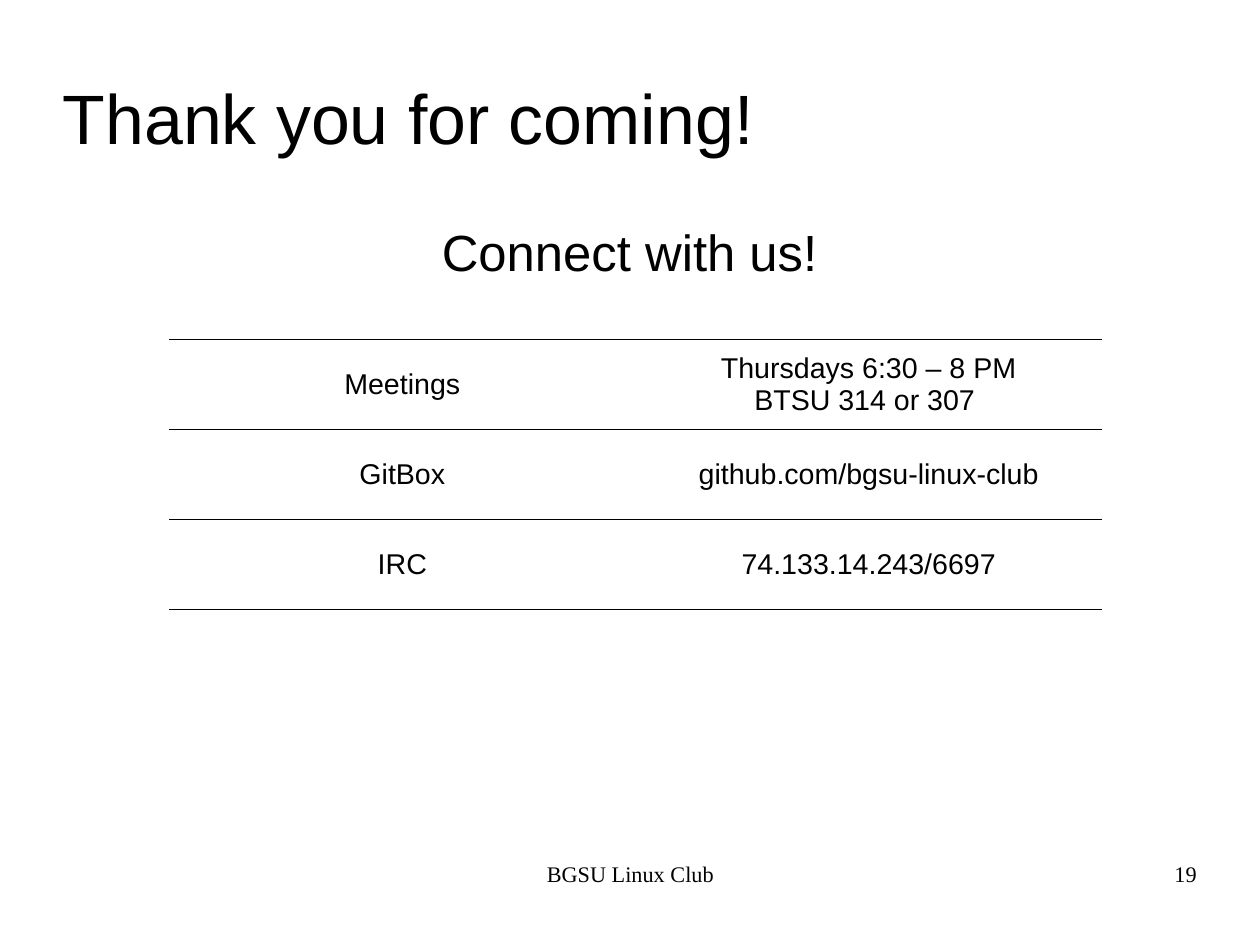
from lxml import etree
from pptx import Presentation
from pptx.dml.color import RGBColor
from pptx.enum.text import MSO_ANCHOR, PP_ALIGN
from pptx.oxml.ns import qn
from pptx.util import Inches, Pt

LEFT, CENTER, RIGHT = PP_ALIGN.LEFT, PP_ALIGN.CENTER, PP_ALIGN.RIGHT
TOP, MIDDLE = MSO_ANCHOR.TOP, MSO_ANCHOR.MIDDLE
COLORS = {"ink": "000000", "page": "FFFFFF"}


def style(frame, size, align, font="Arial"):
    """Format every paragraph and run of a text frame."""
    for para in frame.paragraphs:
        para.alignment = align
        for run in para.runs:
            run.font.size = Pt(size)
            run.font.name = font
            run.font.color.rgb = RGBColor.from_string(COLORS["ink"])


def set_box(shape, place, text, anchor=TOP):
    """Place a text shape without insets and fill in its text."""
    shape.left, shape.top, shape.width, shape.height = map(Inches, place)
    frame = shape.text_frame
    frame.margin_left = frame.margin_right = 0
    frame.margin_top = frame.margin_bottom = 0
    frame.word_wrap = True
    frame.vertical_anchor = anchor
    frame.text = text
    return frame


prs = Presentation()
# 28 by 21 cm
prs.slide_width, prs.slide_height = Inches(28 / 2.54), Inches(21 / 2.54)
slide = prs.slides.add_slide(prs.slide_layouts[5])
back = slide.background.fill
back.solid()
back.fore_color.rgb = RGBColor.from_string(COLORS["page"])

title = set_box(slide.shapes.title, (0.55, 0.33, 9.92, 1.38),
                "Thank you for coming!", MIDDLE)
style(title, 44, LEFT)

# Subtitle and footer
for place, text, size, align, font in [
    ((0.55, 1.93, 9.92, 0.97), "Connect with us!", 32, CENTER, "Arial"),
    ((3.77, 7.53, 3.49, 0.57), "BGSU Linux Club", 14, CENTER, "Times New Roman"),
    ((7.9, 7.53, 2.57, 0.57), "19", 14, RIGHT, "Times New Roman"),
]:
    box = slide.shapes.add_textbox(0, 0, 0, 0)
    style(set_box(box, place, text), size, align, font)

# Contact table, ruled above and below each row
contacts = [
    ("Meetings", "Thursdays 6:30 – 8 PM\nBTSU 314 or 307 "),
    ("GitBox", "github.com/bgsu-linux-club"),
    ("IRC", "74.133.14.243/6697"),
]
table = slide.shapes.add_table(3, 2, Inches(1.48), Inches(2.97),
                               Inches(8.16), Inches(2.36)).table
table.first_row = table.horz_banding = False
for r, row in enumerate(contacts):
    for c, text in enumerate(row):
        cell = table.cell(r, c)
        cell.text = text
        cell.vertical_anchor = MIDDLE
        cell.fill.background()
        style(cell.text_frame, 18, CENTER)
        props = cell._tc.get_or_add_tcPr()
        for i, side in enumerate(["lnL", "lnR", "lnT", "lnB"]):
            line = etree.Element(qn("a:" + side), w=str(Pt(0.06)))
            props.insert(i, line)
            if side in ("lnT", "lnB"):
                paint = etree.SubElement(line, qn("a:solidFill"))
                etree.SubElement(paint, qn("a:srgbClr"), val=COLORS["ink"])
            else:
                etree.SubElement(line, qn("a:noFill"))

prs.save("out.pptx")
